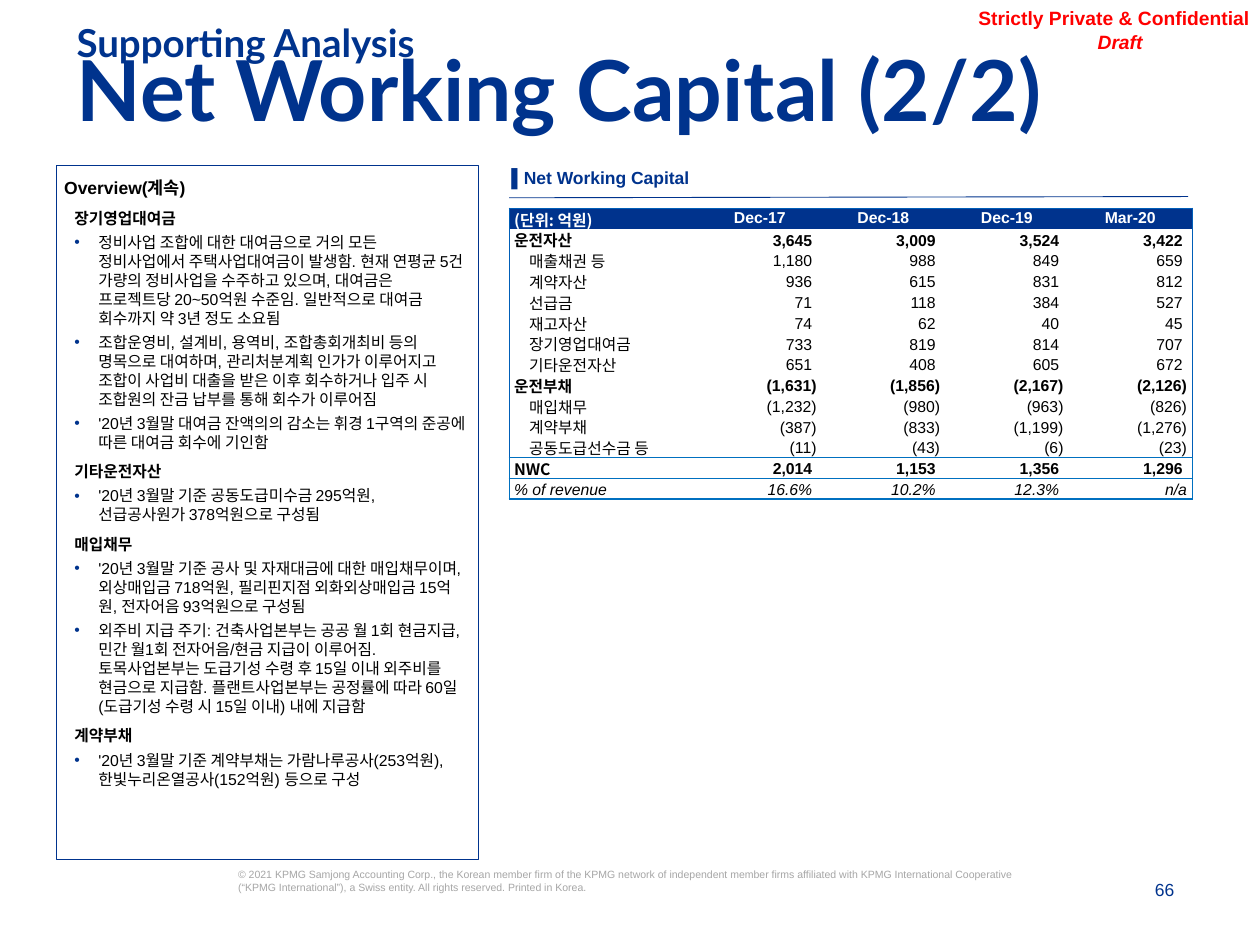
from lxml import etree
from pptx import Presentation
from pptx.dml.color import RGBColor
from pptx.enum.shapes import MSO_CONNECTOR
from pptx.enum.text import MSO_ANCHOR, MSO_AUTO_SIZE, PP_ALIGN
from pptx.oxml.ns import qn
from pptx.util import Pt

LEFT, MID, RIGHT = PP_ALIGN.LEFT, PP_ALIGN.CENTER, PP_ALIGN.RIGHT
TOP, CENTER, LOW = MSO_ANCHOR.TOP, MSO_ANCHOR.MIDDLE, MSO_ANCHOR.BOTTOM
NAVY, BLUE, SKY, RED = "00338D", "005EB8", "0070C0", "FF0000"
SANS, KOREAN = "Arial", "Noto Sans CJK KR"


def color(code):
    return RGBColor.from_string(code)


def style(para, size, code, bold=False, italic=False, face=SANS):
    for run in para.runs:
        font = run.font
        font.name, font.size = face, Pt(size)
        font.bold, font.italic = bold, italic
        font.color.rgb = color(code)


deck = Presentation()
deck.slide_width, deck.slide_height = Pt(720), Pt(540)
slide = deck.slides.add_slide(deck.slide_layouts[1])
shapes = slide.shapes
title, body = slide.placeholders

title.left, title.top, title.width, title.height = Pt(36.72), Pt(33.84), Pt(676.8), Pt(56.88)
frame = title.text_frame
frame.text = "Net Working Capital (2/2)"
frame.auto_size = MSO_AUTO_SIZE.NONE
frame.vertical_anchor = TOP
para = frame.paragraphs[0]
para.alignment, para.line_spacing = LEFT, 0.7
style(para, 48, NAVY, True, face="Lato")

labels = [
    ("Supporting Analysis", (36.72, 14.4, 676.8, 21.6), (7.2, 3.6, 7.2, 3.6),
     TOP, LEFT, 0.7, (22, NAVY, True, False, "Lato")),
    ("▌Net Working Capital", (292.32, 86.4, 388.8, 28.08), (0, 0, 0, 0),
     CENTER, LEFT, 1.2, (10, NAVY, True)),
    ("Strictly Private & Confidential", (537.12, -0.72, 180, 20.16), (0, 2.88, 2.88, 2.88),
     LOW, RIGHT, 1.0, (11, RED, True)),
    ("Draft", (565.2, 12.96, 152.64, 20.16), (0, 2.88, 2.88, 2.88),
     LOW, MID, 1.0, (11, RED, True, True)),
    ("© 2021 KPMG Samjong Accounting Corp., the Korean member firm of the KPMG network of "
     "independent member firms affiliated with KPMG International Cooperative "
     "(“KPMG International”), a Swiss entity. All rights reserved. Printed in Korea.",
     (136.08, 496.08, 457.92, 30.24), (0, 0, 0, 0), TOP, LEFT, 1.0, (6, "A6A6A6")),
    ("66", (576.72, 502.56, 94.32, 11.52), (0, 0, 0, 0), LOW, RIGHT, 1.0, (10, NAVY)),
]
for text, place, inset, anchor, align, space, look in labels:
    frame = shapes.add_textbox(*map(Pt, place)).text_frame
    frame.text = text
    frame.word_wrap = True
    frame.vertical_anchor = anchor
    (frame.margin_left, frame.margin_top,
     frame.margin_right, frame.margin_bottom) = map(Pt, inset)
    para = frame.paragraphs[0]
    para.alignment, para.line_spacing = align, space
    style(para, *look)

notes = [
    ("top", "Overview(계속)"),
    ("head", "장기영업대여금"),
    ("item", "정비사업 조합에 대한 대여금으로 거의 모든 정비사업에서 주택사업대여금이 발생함. "
             "현재 연평균 5건 가량의 정비사업을 수주하고 있으며, 대여금은 프로젝트당 20~50억원 수준임. "
             "일반적으로 대여금 회수까지 약 3년 정도 소요됨"),
    ("item", "조합운영비, 설계비, 용역비, 조합총회개최비 등의 명목으로 대여하며, 관리처분계획 인가가 "
             "이루어지고 조합이 사업비 대출을 받은 이후 회수하거나 입주 시 조합원의 잔금 납부를 통해 "
             "회수가 이루어짐"),
    ("item", "'20년 3월말 대여금 잔액의의 감소는 휘경 1구역의 준공에 따른 대여금 회수에 기인함"),
    ("head", "기타운전자산"),
    ("item", "'20년 3월말 기준 공동도급미수금 295억원, 선급공사원가 378억원으로 구성됨"),
    ("head", "매입채무"),
    ("item", "'20년 3월말 기준 공사 및 자재대금에 대한 매입채무이며, 외상매입금 718억원, "
             "필리핀지점 외화외상매입금 15억원, 전자어음 93억원으로 구성됨"),
    ("item", "외주비 지급 주기: 건축사업본부는 공공 월 1회 현금지급, 민간 월1회 전자어음/현금 지급이 "
             "이루어짐. 토목사업본부는 도급기성 수령 후 15일 이내 외주비를 현금으로 지급함. "
             "플랜트사업본부는 공정률에 따라 60일(도급기성 수령 시 15일 이내) 내에 지급함"),
    ("head", "계약부채"),
    ("item", "'20년 3월말 기준 계약부채는 가람나루공사(253억원), 한빛누리온열공사(152억원) 등으로 구성"),
]
kinds = {"top": (0, 0, 0, 0, 10), "head": (2, 5.76, 0, 6, 9), "item": (2, 19.44, -13.68, 3, 9)}
body.left, body.top, body.width, body.height = Pt(32.4), Pt(94.32), Pt(241.2), Pt(396.72)
body.line.color.rgb = color(NAVY)
body.line.width = Pt(0.5)
frame = body.text_frame
frame.text = "\n".join(text for kind, text in notes)
frame.auto_size = MSO_AUTO_SIZE.NONE
frame.vertical_anchor = TOP
frame.margin_left = frame.margin_top = frame.margin_bottom = Pt(4.32)
frame.margin_right = Pt(7.2)
for para, (kind, text) in zip(frame.paragraphs, notes):
    level, left, hang, gap, size = kinds[kind]
    para.level = level
    para.alignment = LEFT
    para.space_before = Pt(gap)
    para.line_spacing = 1.2 if kind == "top" else 1.0
    props = para._p.get_or_add_pPr()
    props.set("marL", str(Pt(left)))
    props.set("indent", str(Pt(hang)))
    props.set("hangingPunct", "0")
    if kind == "item":
        tint = etree.SubElement(props, qn("a:buClr"))
        etree.SubElement(tint, qn("a:srgbClr"), val=NAVY)
        etree.SubElement(props, qn("a:buChar"), char="•")
    else:
        etree.SubElement(props, qn("a:buNone"))
    style(para, size, "000000", kind != "item")

rule = shapes.add_connector(MSO_CONNECTOR.STRAIGHT, Pt(290.88), Pt(113.04), Pt(678.96), Pt(112.32))
rule.line.color.rgb = color(NAVY)
rule.line.width = Pt(0.5)
etree.SubElement(rule._element.spPr, qn("a:effectLst"))

rows = [
    ("(단위: 억원)", "Dec-17", "Dec-18", "Dec-19", "Mar-20"),
    ("운전자산", "3,645 ", "3,009 ", "3,524 ", "3,422 "),
    ("매출채권 등", "1,180 ", "988 ", "849 ", "659 "),
    ("계약자산", "936 ", "615 ", "831 ", "812 "),
    ("선급금", "71 ", "118 ", "384 ", "527 "),
    ("재고자산", "74 ", "62 ", "40 ", "45 "),
    ("장기영업대여금", "733 ", "819 ", "814 ", "707 "),
    ("기타운전자산", "651 ", "408 ", "605 ", "672 "),
    ("운전부채", "(1,631)", "(1,856)", "(2,167)", "(2,126)"),
    ("매입채무", "(1,232)", "(980)", "(963)", "(826)"),
    ("계약부채", "(387)", "(833)", "(1,199)", "(1,276)"),
    ("공동도급선수금 등", "(11)", "(43)", "(6)", "(23)"),
    ("NWC", "2,014 ", "1,153 ", "1,356 ", "1,296 "),
    ("% of revenue", "16.6% ", "10.2% ", "12.3% ", "n/a"),
]
strong, last = (0, 1, 8, 12), len(rows) - 1
table = shapes.add_table(len(rows), 5, Pt(290.88), Pt(118.8), Pt(390.24), Pt(166.32)).table
table.first_row = table.horz_banding = False
for c, col in enumerate(table.columns):
    col.width = Pt(70.56 if c else 108)
for r, row in enumerate(rows):
    table.rows[r].height = Pt(11.88)
    for c, text in enumerate(row):
        cell = table.cell(r, c)
        cell.text = text
        cell.vertical_anchor = LOW if r else CENTER
        cell.margin_left = Pt(2.88 if c or r in strong or r == last else 11.52)
        cell.margin_right = Pt(2.88)
        cell.margin_top = cell.margin_bottom = 0
        para = cell.text_frame.paragraphs[0]
        para.alignment = LEFT if c == 0 else RIGHT if r else MID
        face = KOREAN if c == 0 and r < last else SANS
        style(para, 9, "000000" if r else "FFFFFF", r in strong, r == last, face)
        edge = SKY if r > 11 else BLUE
        sides = {
            "a:lnL": edge if c == 0 else None,
            "a:lnR": edge if c == 4 else None,
            "a:lnT": BLUE if r == 0 else SKY if r > 11 else None,
            "a:lnB": SKY if r > 10 else None,
        }
        props = cell._tc.get_or_add_tcPr()
        for side, code in sides.items():
            wide = 1 if r == last and side == "a:lnB" else 0.5
            line = etree.SubElement(props, qn(side), w=str(Pt(wide)))
            if code:
                fill = etree.SubElement(line, qn("a:solidFill"))
                etree.SubElement(fill, qn("a:srgbClr"), val=code)
            else:
                etree.SubElement(line, qn("a:noFill"))
        if r:
            cell.fill.background()
        else:
            cell.fill.solid()
            cell.fill.fore_color.rgb = color(NAVY)

deck.save("out.pptx")
